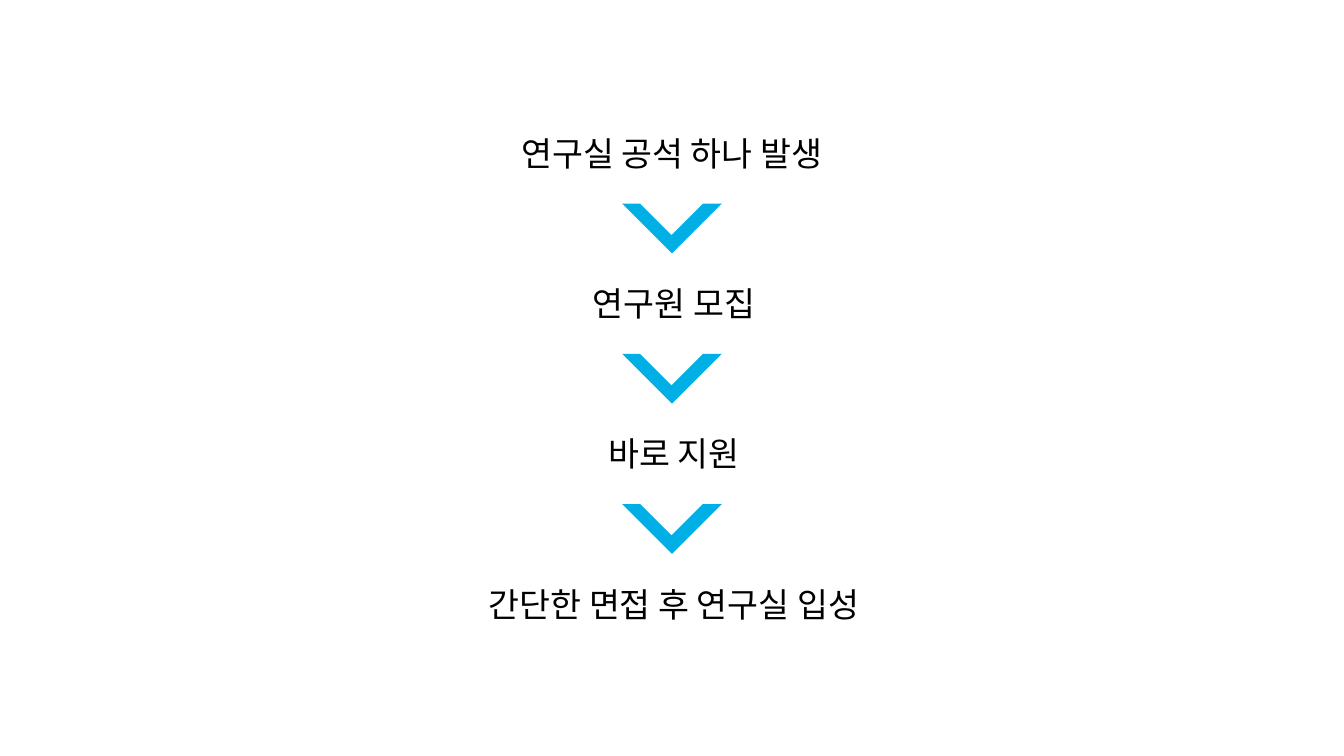
from dataclasses import dataclass

from lxml.etree import SubElement
from pptx import Presentation
from pptx.dml.color import RGBColor
from pptx.enum.shapes import MSO_SHAPE as Shape
from pptx.enum.text import MSO_ANCHOR as Anchor, MSO_AUTO_SIZE as Fit, PP_ALIGN as Align
from pptx.oxml.ns import qn
from pptx.util import Pt


@dataclass(frozen=True)
class Theme:
    ink: RGBColor = RGBColor(0x00, 0x00, 0x00)
    blue: RGBColor = RGBColor(0x00, 0xAF, 0xE6)
    paper: RGBColor = RGBColor(0xFF, 0xFF, 0xFF)
    font: str = "Noto Sans CJK KR"
    size: int = 24


THEME = Theme()
STEPS = ["연구실 공석 하나 발생", "연구원 모집", "바로 지원", "간단한 면접 후 연구실 입성"]
TOP, PITCH = 91.4, 107.3
WIDE, HIGH = 344.9, 36.3
ARROW, DROP = 50.4, 28.8


def add_run(para, text):
    run = para.add_run()
    run.text = text
    font = run.font
    font.name, font.size = THEME.font, Pt(THEME.size)
    font.color.rgb = THEME.ink
    SubElement(font._element, qn("a:ea"), typeface=THEME.font)


def add_step(slide, text, left, top):
    box = slide.shapes.add_textbox(Pt(left), Pt(top), Pt(WIDE), Pt(HIGH))
    frame = box.text_frame
    frame.word_wrap = True
    frame.auto_size = Fit.SHAPE_TO_FIT_TEXT
    frame.vertical_anchor = Anchor.TOP
    para = frame.paragraphs[0]
    para.alignment = Align.CENTER
    add_run(para, text)


def add_arrow(slide, left, top):
    """Turn a half frame so that its corner points down."""
    arrow = slide.shapes.add_shape(Shape.HALF_FRAME, Pt(left), Pt(top), Pt(ARROW), Pt(ARROW))
    arrow.adjustments[0] = 0.18
    arrow.adjustments[1] = 0.19
    arrow.rotation = 225
    arrow.shadow.inherit = False
    arrow.fill.solid()
    arrow.fill.fore_color.rgb = THEME.blue
    arrow.line.fill.background()


def main():
    deck = Presentation()
    deck.slide_width, deck.slide_height = Pt(960), Pt(540)
    slide = deck.slides.add_slide(deck.slide_layouts[6])
    slide.background.fill.solid()
    slide.background.fill.fore_color.rgb = THEME.paper
    for row, text in enumerate(STEPS):
        top = TOP + row * PITCH
        add_step(slide, text, 308.9 if row else 307.4, top)
        if row < len(STEPS) - 1:
            add_arrow(slide, (960 - ARROW) / 2, top + DROP)
    deck.save("out.pptx")


if __name__ == "__main__":
    main()
